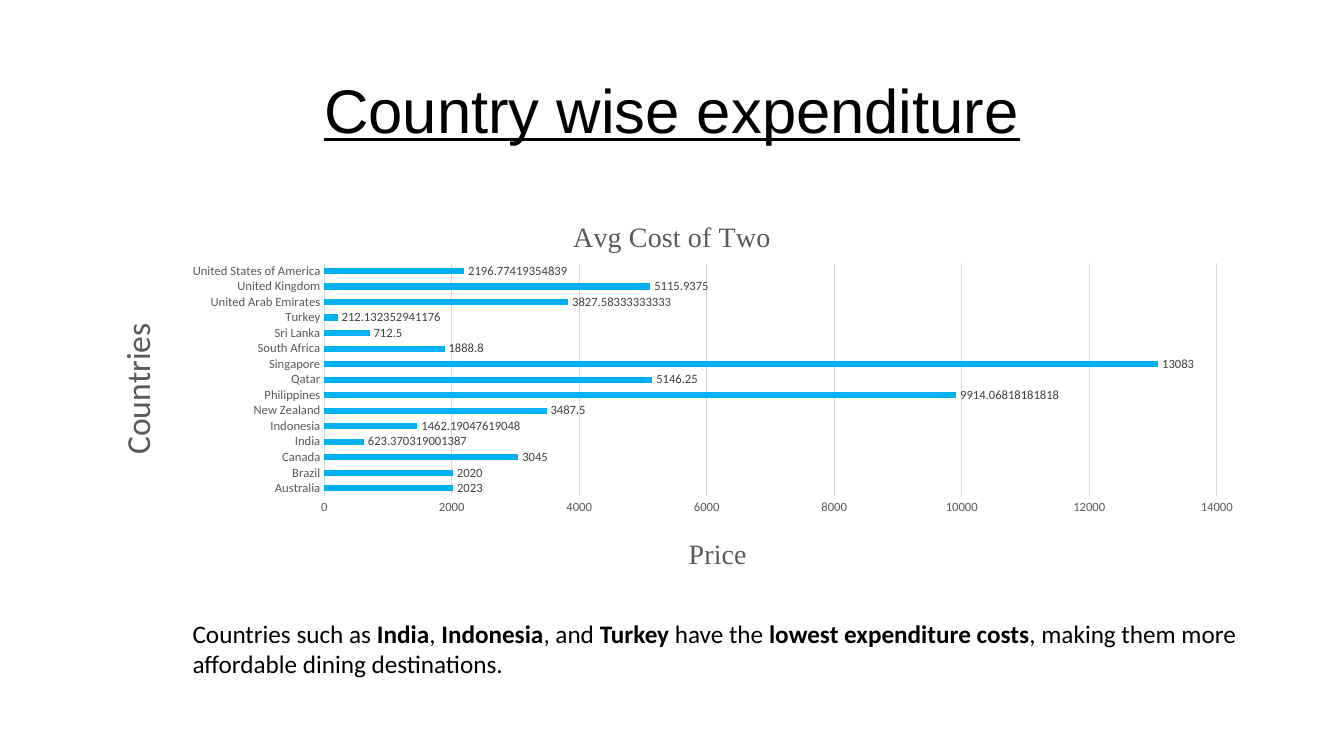
import pptx
import pptx.chart.data
import pptx.dml.color
import pptx.enum.chart
import pptx.enum.text
import pptx.oxml
import pptx.oxml.ns
import pptx.util

Pt = pptx.util.Pt
COLORS = {
    "black": "000000",
    "bar": "00B0F0",
    "grid": "D9D9D9",
    "axis": "595959",
    "label": "404040",
}
AVERAGE_COSTS = {
    "Australia": 2023,
    "Brazil": 2020,
    "Canada": 3045,
    "India": 623.370319001387,
    "Indonesia": 1462.19047619048,
    "New Zealand": 3487.5,
    "Philippines": 9914.06818181818,
    "Qatar": 5146.25,
    "Singapore": 13083,
    "South Africa": 1888.8,
    "Sri Lanka": 712.5,
    "Turkey": 212.132352941176,
    "United Arab Emirates": 3827.58333333333,
    "United Kingdom": 5115.9375,
    "United States of America": 2196.77419354839,
}


def style_font(font, name, size, color):
    font.name = name
    font.size = Pt(size)
    font.bold = False
    font.color.rgb = pptx.dml.color.RGBColor.from_string(COLORS[color])


def set_layout(element, index, **fractions):
    """Place a chart part by fractions of the chart's size."""
    for old_layout in element.findall(pptx.oxml.ns.qn("c:layout")):
        element.remove(old_layout)
    target = '<c:layoutTarget val="inner"/>' if "w" in fractions else ""
    modes = '<c:xMode val="edge"/><c:yMode val="edge"/>'
    values = "".join(f'<c:{key} val="{value}"/>' for key, value in fractions.items())
    element.insert(index, pptx.oxml.parse_xml(
        f'<c:layout {pptx.oxml.ns.nsdecls("c")}><c:manualLayout>'
        f"{target}{modes}{values}</c:manualLayout></c:layout>"))


presentation = pptx.Presentation()
presentation.slide_width = Pt(960)
presentation.slide_height = Pt(540)
slide = presentation.slides.add_slide(presentation.slide_layouts[5])

# Title
title = slide.shapes.title
title.left, title.top, title.width, title.height = Pt(66), Pt(28.75), Pt(828), Pt(104.4)
title.text_frame.text = "Country wise expenditure"
title.text_frame.vertical_anchor = pptx.enum.text.MSO_ANCHOR.MIDDLE
paragraph = title.text_frame.paragraphs[0]
paragraph.alignment = pptx.enum.text.PP_ALIGN.CENTER
paragraph.line_spacing = 0.9
style_font(paragraph.font, "Arial", 44, "black")
paragraph.font.underline = True

# Bar chart
chart_data = pptx.chart.data.CategoryChartData()
chart_data.categories = list(AVERAGE_COSTS)
chart_data.add_series("Series 1", list(AVERAGE_COSTS.values()))
chart = slide.shapes.add_chart(
    pptx.enum.chart.XL_CHART_TYPE.BAR_CLUSTERED,
    Pt(66), Pt(143.75), Pt(828), Pt(277.2), chart_data).chart
style_font(chart.font, "Calibri", 10, "black")
chart.has_legend = False

plot = chart.plots[0]
plot.gap_width = 150
plot.vary_by_categories = False
series = plot.series[0]
series.format.fill.solid()
series.format.fill.fore_color.rgb = pptx.dml.color.RGBColor.from_string(COLORS["bar"])
plot.has_data_labels = True
labels = plot.data_labels
labels.show_value = True
labels.number_format = "General"
labels.number_format_is_linked = False
labels.position = pptx.enum.chart.XL_LABEL_POSITION.OUTSIDE_END
style_font(labels.font, "Calibri", 9, "label")

# Axes
category_axis, value_axis = chart.category_axis, chart.value_axis
for axis in (category_axis, value_axis):
    axis.major_tick_mark = pptx.enum.chart.XL_TICK_MARK.NONE
    axis.minor_tick_mark = pptx.enum.chart.XL_TICK_MARK.NONE
    axis.format.line.fill.background()
    style_font(axis.tick_labels.font, "Calibri", 9, "axis")
category_axis.has_major_gridlines = False
value_axis.minimum_scale = 0
value_axis.maximum_scale = 14000
value_axis.major_unit = 2000
value_axis.has_major_gridlines = True
gridline = value_axis.major_gridlines.format.line
gridline.width = Pt(0.75)
gridline.color.rgb = pptx.dml.color.RGBColor.from_string(COLORS["grid"])

# Chart and axis titles
for chart_title, text, name, size in (
    (chart.chart_title, "Avg Cost of Two", "Times New Roman", 20),
    (category_axis.axis_title, "Countries", "Calibri", 24),
    (value_axis.axis_title, "Price", "Times New Roman", 20),
):
    chart_title.text_frame.text = text
    style_font(chart_title.text_frame.paragraphs[0].font, name, size, "axis")
category_axis.axis_title.text_frame._txBody.bodyPr.set("rot", "-5400000")
set_layout(value_axis.axis_title._element, 1, x=0.51, y=0.85)
set_layout(chart._chartSpace.chart.plotArea, 0, x=0.2, y=0.16, w=0.77, h=0.6)

# Conclusion
conclusion = slide.shapes.add_textbox(Pt(130.5), Pt(437.75), Pt(764), Pt(51))
conclusion.text_frame.word_wrap = True
paragraph = conclusion.text_frame.paragraphs[0]
style_font(paragraph.font, "Calibri", 18, "black")
for text, bold in (
    ("Countries such as ", False),
    ("India", True),
    (", ", False),
    ("Indonesia", True),
    (", and ", False),
    ("Turkey", True),
    (" have the ", False),
    ("lowest expenditure costs", True),
    (", making them more affordable dining destinations.", False),
):
    run = paragraph.add_run()
    run.text = text
    run.font.bold = bold

presentation.save("out.pptx")
